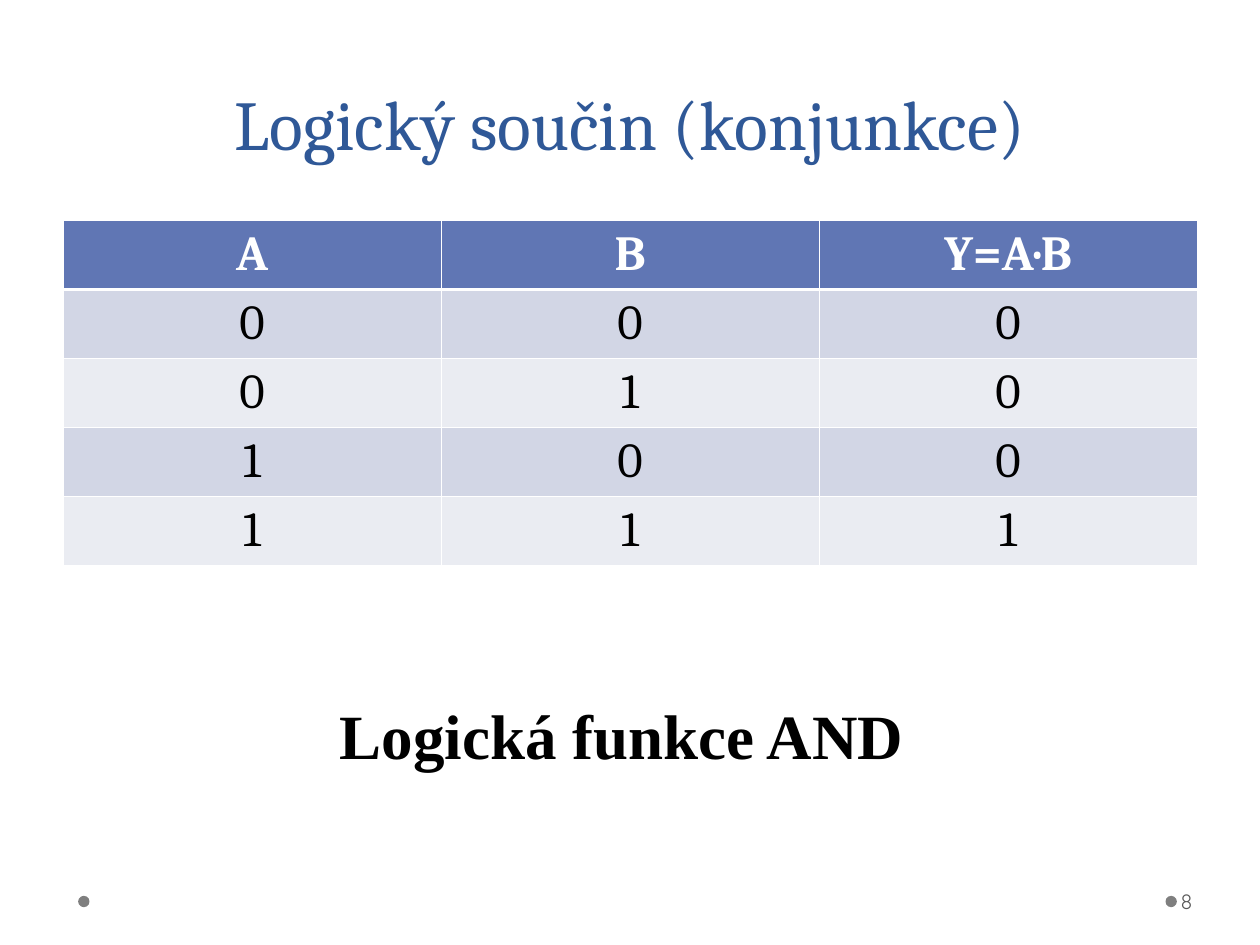
from dataclasses import dataclass
from pptx import Presentation
from pptx import util as u
from pptx.dml.color import RGBColor
from pptx.enum import shapes, text
from pptx.oxml import parse_xml
from pptx.oxml.ns import nsdecls

WIDE, HIGH = 10, 7.5
WHITE, BLACK = "FFFFFF", "000000"
THIN, THICK = 0.45, 1.47


@dataclass
class Area:
    """Left, top, width and height in percent of the slide."""
    left: float
    top: float
    width: float
    height: float

    def place(self) -> tuple:
        return (u.Inches(self.left * WIDE / 100), u.Inches(self.top * HIGH / 100),
                u.Inches(self.width * WIDE / 100), u.Inches(self.height * HIGH / 100))


@dataclass
class Style:
    face: str
    size: float
    tint: str
    bold: bool = False
    align: text.PP_ALIGN = text.PP_ALIGN.LEFT


@dataclass
class Label:
    words: str
    area: Area
    style: Style
    anchor: text.MSO_ANCHOR
    inset: float


def color(tint: str) -> RGBColor:
    return RGBColor.from_string(tint)


def write(frame, words: str, style: Style) -> None:
    para = frame.paragraphs[0]
    para.alignment = style.align
    run = para.add_run()
    run.text = words
    font = run.font
    font.name, font.size, font.bold = style.face, u.Pt(style.size), style.bold
    font.color.rgb = color(style.tint)


def head(slide, words: str, area: Area, style: Style) -> None:
    title = slide.shapes.title
    title.left, title.top, title.width, title.height = area.place()
    frame = title.text_frame
    frame.vertical_anchor = text.MSO_ANCHOR.BOTTOM
    frame.auto_size = text.MSO_AUTO_SIZE.NONE
    write(frame, words, style)
    frame.paragraphs[0].line_spacing = u.Pt(58)


def dot(slide, area: Area) -> None:
    left, top, side, _ = area.place()
    mark = slide.shapes.add_shape(shapes.MSO_SHAPE.OVAL, left, top, side, side)
    mark.shadow.inherit = False
    mark.fill.solid()
    mark.fill.fore_color.rgb = color("7F7F7F")
    mark.line.fill.background()


def note(slide, label: Label) -> None:
    frame = slide.shapes.add_textbox(*label.area.place()).text_frame
    frame.word_wrap = True
    frame.vertical_anchor = label.anchor
    frame.margin_left = u.Inches(label.inset)
    write(frame, label.words, label.style)


def edge(cell, side: str, width: float) -> None:
    cell._tc.get_or_add_tcPr().append(parse_xml(
        f'<a:{side} {nsdecls("a")} w="{u.Pt(width)}"><a:solidFill>'
        f'<a:srgbClr val="{WHITE}"/></a:solidFill></a:{side}>'))


def grid(slide, rows: list, area: Area) -> None:
    table = slide.shapes.add_table(len(rows), len(rows[0]), *area.place()).table
    for r, row in enumerate(rows):
        top = r == 0
        style = Style("Cambria", 28, WHITE if top else BLACK, top, text.PP_ALIGN.CENTER)
        fill = "6076B4" if top else ("EAECF2", "D2D6E5")[r % 2]
        for c, words in enumerate(row):
            cell = table.cell(r, c)
            cell.margin_left = cell.margin_right = u.Inches(0.05 if top else 0.02)
            cell.vertical_anchor = text.MSO_ANCHOR.MIDDLE if top else text.MSO_ANCHOR.TOP
            edge(cell, "lnL", THIN)
            edge(cell, "lnR", THIN)
            edge(cell, "lnT", THICK if r == 1 else THIN)
            edge(cell, "lnB", THICK if top else THIN)
            cell.fill.solid()
            cell.fill.fore_color.rgb = color(fill)
            write(cell.text_frame, words, style)


def main() -> None:
    deck = Presentation()
    deck.slide_width, deck.slide_height = u.Inches(WIDE), u.Inches(HIGH)
    slide = deck.slides.add_slide(deck.slide_layouts[5])
    for left in (92.5, 6.2):
        dot(slide, Area(left, 94.8, 0.9, 1.2))
    head(slide, "Logický součin (konjunkce)", Area(5, 2.8, 90, 15.33),
         Style("Cambria", 40, "2F5897", align=text.PP_ALIGN.CENTER))
    truth = [(str(a), str(b), str(a & b)) for a in (0, 1) for b in (0, 1)]
    grid(slide, [("A", "B", "Y=A·B"), *truth], Area(5, 23.33, 90, 33.87))
    labels = [
        Label("8", Area(93.4, 92.67, 6.1, 5.33), Style("Quicksand", 12, "595959"),
              text.MSO_ANCHOR.MIDDLE, 0.03),
        Label("Logická funkce AND", Area(26, 73.07, 48, 17.33),
              Style("Times New Roman", 36, BLACK, True), text.MSO_ANCHOR.TOP, 0.1),
    ]
    for label in labels:
        note(slide, label)
    deck.save("out.pptx")


if __name__ == "__main__":
    main()
